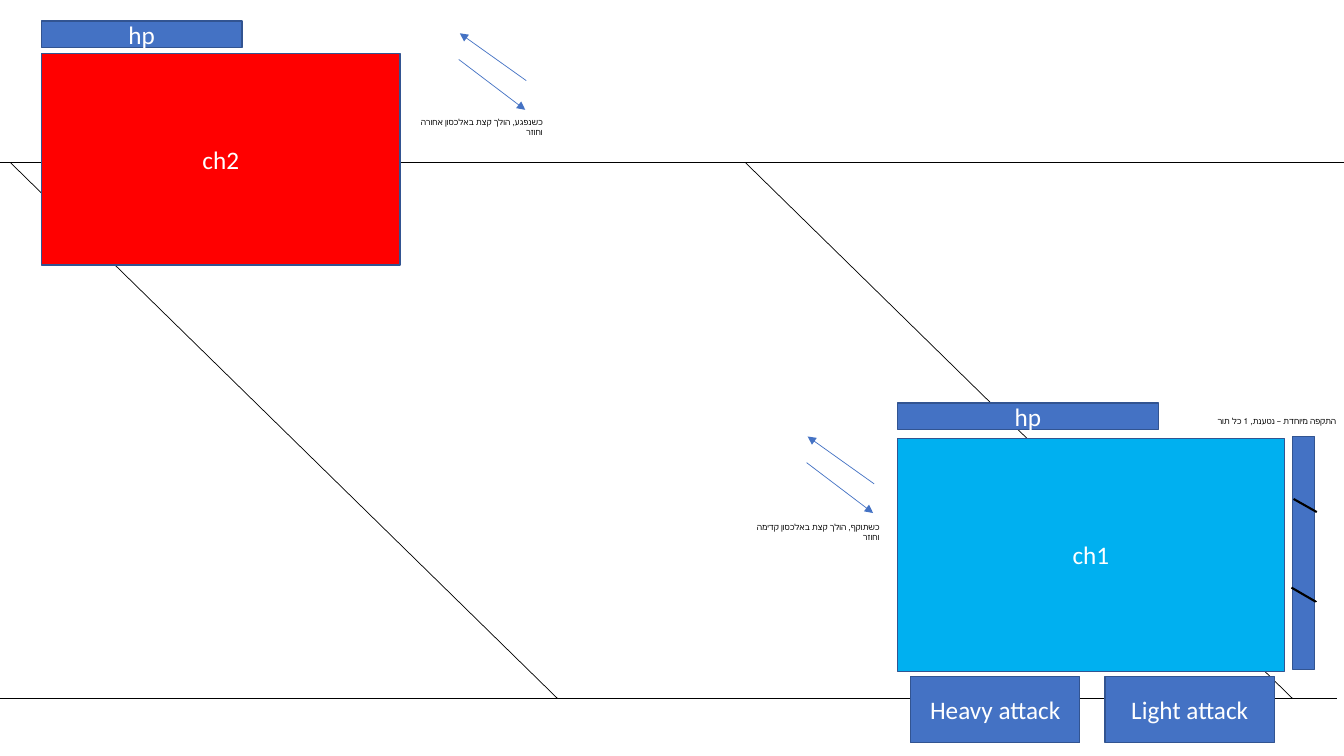
from dataclasses import dataclass

from lxml import etree
from pptx import Presentation
from pptx.dml.color import RGBColor
from pptx.enum.shapes import MSO_CONNECTOR, MSO_SHAPE
from pptx.enum.text import MSO_ANCHOR, MSO_AUTO_SIZE, PP_ALIGN
from pptx.oxml.ns import qn
from pptx.util import Pt

LINE = MSO_CONNECTOR.STRAIGHT
RECT = MSO_SHAPE.RECTANGLE
MIDDLE = MSO_ANCHOR.MIDDLE
GROW = MSO_AUTO_SIZE.SHAPE_TO_FIT_TEXT
CENTER = PP_ALIGN.CENTER
RIGHT = PP_ALIGN.RIGHT

BLACK = RGBColor(0x00, 0x00, 0x00)
WHITE = RGBColor(0xFF, 0xFF, 0xFF)
BLUE = RGBColor(0x44, 0x72, 0xC4)
NAVY = RGBColor(0x32, 0x54, 0x91)
RED = RGBColor(0xFF, 0x00, 0x00)
SKY = RGBColor(0x00, 0xB0, 0xF0)

PX = 9144
WIDTH, HEIGHT = 1333, 750

BOX_FRAME = {"word_wrap": True, "vertical_anchor": MIDDLE}
NOTE_FRAME = {"word_wrap": True, "auto_size": GROW}
BOX_FONT = {"name": "Calibri", "size": Pt(18)}
NOTE_FONT = {"name": "Calibri", "size": Pt(6)}


@dataclass
class Box:
    left: int
    top: int
    width: int
    height: int
    fill: RGBColor = BLUE
    text: str = ""


@dataclass
class Note:
    left: int
    top: int
    width: int
    text: str


@dataclass
class Stroke:
    x1: int
    y1: int
    x2: int
    y2: int
    weight: float
    color: RGBColor = BLACK
    arrow: bool = False


COURT = [
    Stroke(739, 161, 1282, 693, 0.5),
    Stroke(10, 161, 553, 693, 0.5),
    Stroke(1326, 693, -8, 693, 1),
    Stroke(1333, 161, 0, 161, 1),
]
BOXES = [
    Box(890, 435, 384, 231, SKY, "ch1"),
    Box(41, 53, 356, 210, RED, "ch2"),
    Box(41, 21, 199, 26, text="hp"),
    Box(890, 400, 259, 26, text="hp"),
    Box(903, 671, 168, 66, text="Heavy attack"),
    Box(1096, 671, 168, 66, text="Light attack"),
    Box(1282, 433, 22, 231),
]
TICKS = [
    Stroke(1283, 495, 1306, 508, 1.5),
    Stroke(1281, 583, 1306, 597, 0.5),
    Stroke(1281, 583, 1305, 597, 1.5),
]
MOVES = [(800, 433), (455, 33)]
NOTES = [
    Note(1192, 408, 143, "התקפה מיוחדת – נטענת, 1 כל תור"),
    Note(726, 513, 156, "כשתוקף, הולך קצת באלכסון קדימה וחוזר"),
    Note(392, 111, 156, "כשנפגע, הולך קצת באלכסון אחורה וחוזר"),
]


def arrows(x: int, y: int) -> list[Stroke]:
    return [
        Stroke(x + 67, y + 47, x + 1, y, 0.5, BLUE, True),
        Stroke(x, y + 26, x + 66, y + 76, 0.5, BLUE, True),
    ]


def apply(target: object, values: dict) -> None:
    for name, value in values.items():
        setattr(target, name, value)


def write(frame, text: str, look: dict, font: dict, align, color: RGBColor) -> None:
    apply(frame, look)
    para = frame.paragraphs[0]
    para.alignment = align
    para._p.get_or_add_pPr().set("rtl", "1")
    run = para.add_run()
    run.text = text
    apply(run.font, font)
    run.font.color.rgb = color


def draw_box(slide, box: Box) -> None:
    shape = slide.shapes.add_shape(
        RECT, box.left * PX, box.top * PX, box.width * PX, box.height * PX
    )
    shape.shadow.inherit = False
    shape.fill.solid()
    shape.fill.fore_color.rgb = box.fill
    shape.line.color.rgb = NAVY
    shape.line.width = Pt(1)
    if box.text:
        write(shape.text_frame, box.text, BOX_FRAME, BOX_FONT, CENTER, WHITE)


def draw_note(slide, note: Note) -> None:
    shape = slide.shapes.add_textbox(
        note.left * PX, note.top * PX, note.width * PX, 20 * PX
    )
    write(shape.text_frame, note.text, NOTE_FRAME, NOTE_FONT, RIGHT, BLACK)


def draw_stroke(slide, item: Stroke) -> None:
    link = slide.shapes.add_connector(
        LINE, item.x1 * PX, item.y1 * PX, item.x2 * PX, item.y2 * PX
    )
    link.line.color.rgb = item.color
    link.line.width = Pt(item.weight)
    if item.arrow:
        tail = etree.SubElement(link.line._get_or_add_ln(), qn("a:tailEnd"))
        tail.set("type", "triangle")
    etree.SubElement(link._element.spPr, qn("a:effectLst"))


def main() -> None:
    deck = Presentation()
    deck.slide_width = WIDTH * PX
    deck.slide_height = HEIGHT * PX
    slide = deck.slides.add_slide(deck.slide_layouts[6])
    for item in COURT:
        draw_stroke(slide, item)
    for box in BOXES:
        draw_box(slide, box)
    for item in TICKS:
        draw_stroke(slide, item)
    for x, y in MOVES:
        for item in arrows(x, y):
            draw_stroke(slide, item)
    for note in NOTES:
        draw_note(slide, note)
    deck.save("out.pptx")


if __name__ == "__main__":
    main()
